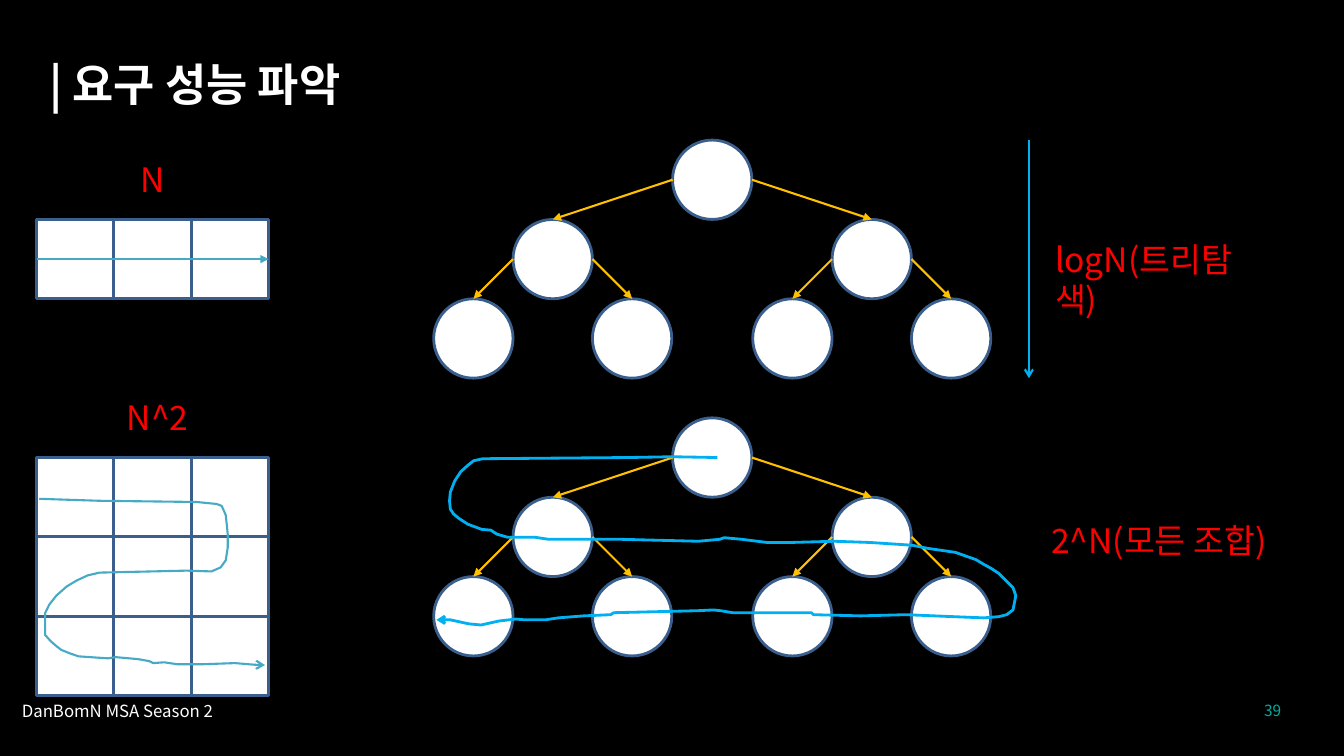
from lxml import etree
from pptx import Presentation
from pptx.dml.color import RGBColor
from pptx.enum.shapes import MSO_CONNECTOR, MSO_SHAPE
from pptx.enum.text import MSO_AUTO_SIZE, PP_ALIGN
from pptx.oxml.ns import qn
from pptx.util import Cm, Pt

RECTANGLE = MSO_SHAPE.RECTANGLE
OVAL = MSO_SHAPE.OVAL
STRAIGHT = MSO_CONNECTOR.STRAIGHT
GROW = MSO_AUTO_SIZE.SHAPE_TO_FIT_TEXT
LEFT, RIGHT = PP_ALIGN.LEFT, PP_ALIGN.RIGHT
TOP_SITE, LEFT_SITE, RIGHT_SITE = 0, 1, 3

FONT = "Noto Sans CJK KR"
COLORS = {
    "black": "000000",
    "white": "FFFFFF",
    "outline": "3A5F8C",
    "edge": "FFC000",
    "scan": "46AAC5",
    "search": "00B0F0",
    "label": "FF0000",
    "number": "00AFA0",
}

CELL_WIDTH, CELL_HEIGHT, GRID_LEFT = 1.95, 2, 0.92
NODE, ROOT_X, CHILD_OFFSET, LEAF_OFFSET = 2, 17.95, 4.02, 2

GRID_SCAN = [
    (0.99, 12.57), (2.51, 12.62), (4.95, 12.65), (5.46, 12.7), (5.59, 12.75),
    (5.69, 12.98), (5.72, 13.26), (5.74, 13.46), (5.74, 13.8), (5.69, 14.12),
    (5.56, 14.3), (5.33, 14.4), (4.7, 14.38), (2.51, 14.43), (2.21, 14.5),
    (1.93, 14.63), (1.68, 14.78), (1.42, 15.01), (1.24, 15.24), (1.14, 15.45),
    (1.14, 16), (1.27, 16.15), (1.42, 16.28), (1.55, 16.38), (1.75, 16.46),
    (1.98, 16.54), (2.72, 16.59), (2.92, 16.56), (3.48, 16.61), (3.76, 16.66),
    (3.86, 16.71), (4.14, 16.69), (4.47, 16.74), (5.11, 16.74), (5.92, 16.71),
    (6.53, 16.76), (6.68, 16.76),
]
TREE_SCAN = [
    (18.08, 11.53), (16.94, 11.51), (15.82, 11.53), (12.17, 11.56), (11.94, 11.61),
    (11.81, 11.71), (11.61, 11.89), (11.46, 12.12), (11.35, 12.4), (11.33, 12.62),
    (11.35, 12.83), (11.43, 12.95), (11.56, 13.06), (11.79, 13.21), (12.14, 13.34),
    (12.37, 13.36), (12.52, 13.46), (12.8, 13.54), (13.49, 13.54), (13.82, 13.59),
    (15.62, 13.59), (17.6, 13.64), (18.14, 13.59), (18.25, 13.55), (18.69, 13.59),
    (19.33, 13.67), (19.94, 13.67), (21.03, 13.64), (21.92, 13.67), (22.99, 13.74),
    (23.39, 13.82), (24.08, 13.92), (24.36, 14.02), (24.59, 14.1), (24.79, 14.22),
    (24.99, 14.33), (25.17, 14.45), (25.4, 14.68), (25.53, 14.81), (25.6, 15.01),
    (25.53, 15.37), (25.37, 15.49), (25.17, 15.54), (24.79, 15.57), (24.03, 15.54),
    (22.83, 15.49), (21.69, 15.52), (20.5, 15.49), (20.45, 15.44), (18.47, 15.44),
    (18.16, 15.39), (17.98, 15.37), (17.58, 15.39), (15.47, 15.44), (15.39, 15.49),
    (14.71, 15.52), (14.07, 15.57), (13.74, 15.62), (13.23, 15.62), (13, 15.6),
    (12.57, 15.65), (12.12, 15.75), (11.81, 15.72), (11.35, 15.62), (11, 15.62),
]


def rgb(name):
    return RGBColor.from_string(COLORS[name])


def style_line(line, color, width, head=None):
    line.color.rgb = rgb(color)
    line.width = Pt(width)
    if head:
        etree.SubElement(line._get_or_add_ln(), qn("a:tailEnd"), type=head)


def add_text(slide, text, left, top, width, height, size, color,
             wrap=True, align=LEFT, bold=False, spacing=None):
    shape = slide.shapes.add_textbox(Cm(left), Cm(top), Cm(width), Cm(height))
    frame = shape.text_frame
    frame.word_wrap = wrap
    frame.auto_size = GROW
    paragraph = frame.paragraphs[0]
    paragraph.text = text
    paragraph.alignment = align
    if spacing:
        paragraph.line_spacing = spacing
    font = paragraph.font
    font.name = FONT
    font.size = Pt(size)
    font.bold = bold
    font.color.rgb = rgb(color)
    properties = paragraph._p.pPr.find(qn("a:defRPr"))
    etree.SubElement(properties, qn("a:ea"), typeface=FONT)


def add_box(slide, kind, left, top, width, height):
    shape = slide.shapes.add_shape(kind, Cm(left), Cm(top), Cm(width), Cm(height))
    shape.shadow.inherit = False
    shape.fill.solid()
    shape.fill.fore_color.rgb = rgb("white")
    style_line(shape.line, "outline", 2)
    return shape


def add_arrow(slide, start, end, color, head):
    connector = slide.shapes.add_connector(
        STRAIGHT, Cm(start[0]), Cm(start[1]), Cm(end[0]), Cm(end[1]))
    style_line(connector.line, color, 1.5, head)
    etree.SubElement(connector._element.spPr, qn("a:effectLst"))
    return connector


def add_scan(slide, points, color, width):
    start, *rest = [(Cm(x), Cm(y)) for x, y in points]
    builder = slide.shapes.build_freeform(*start)
    builder.add_line_segments(rest, close=False)
    shape = builder.convert_to_shape()
    shape.shadow.inherit = False
    shape.fill.background()
    style_line(shape.line, color, width, "arrow")


def add_grid(slide, top, rows):
    return [add_box(slide, RECTANGLE, GRID_LEFT + column * CELL_WIDTH,
                    top + row * CELL_HEIGHT, CELL_WIDTH, CELL_HEIGHT)
            for row in range(rows) for column in range(3)]


def add_tree(slide, center, top, offsets):
    node = add_box(slide, OVAL, center - NODE / 2, top, NODE, NODE)
    if offsets:
        for side in (-1, 1):
            child_center = center + side * offsets[0]
            child = add_tree(slide, child_center, top + NODE, offsets[1:])
            edge = add_arrow(slide, (center + side * NODE / 2, top + NODE / 2),
                             (child_center, top + NODE), "edge", "triangle")
            edge.end_connect(child, TOP_SITE)
    return node


def main():
    presentation = Presentation()
    presentation.slide_width = Cm(33.87)
    presentation.slide_height = Cm(19.05)
    slide = presentation.slides.add_slide(presentation.slide_layouts[6])
    slide.background.fill.solid()
    slide.background.fill.fore_color.rgb = rgb("black")

    add_text(slide, "39", 30.81, 17.55, 1.73, 0.74, 11, "number", align=RIGHT)
    add_text(slide, "DanBomN MSA Season 2", 0.3, 17.53, 5.33, 0.76, 12, "white")
    add_text(slide, "| 요구 성능 파악", 0.99, 0.89, 8.74, 2.03, 32, "white",
             bold=True, spacing=1.3)

    row_cells = add_grid(slide, 5.53, 1)
    row_scan = add_arrow(slide, (GRID_LEFT, 6.53), (GRID_LEFT + 3 * CELL_WIDTH, 6.53),
                         "scan", "triangle")
    row_scan.begin_connect(row_cells[0], LEFT_SITE)
    row_scan.end_connect(row_cells[-1], RIGHT_SITE)
    add_grid(slide, 11.53, 3)
    add_scan(slide, GRID_SCAN, "scan", 1.5)

    for top in (3.53, 10.53):
        add_tree(slide, ROOT_X, top, [CHILD_OFFSET, LEAF_OFFSET])
    add_arrow(slide, (25.93, 3.53), (25.93, 9.53), "search", "arrow")
    add_scan(slide, TREE_SCAN, "search", 2)

    for text, left, top, width, wrap in (
        ("N", 3.28, 3.89, 1.12, False),
        ("N^2", 2.95, 9.88, 2.06, True),
        ("logN(트리탐색)", 26.34, 5.89, 5.99, True),
        ("2^N(모든 조합)", 26.24, 12.98, 6.48, False),
    ):
        add_text(slide, text, left, top, width, 1.27, 24, "label", wrap)

    presentation.save("out.pptx")


if __name__ == "__main__":
    main()
